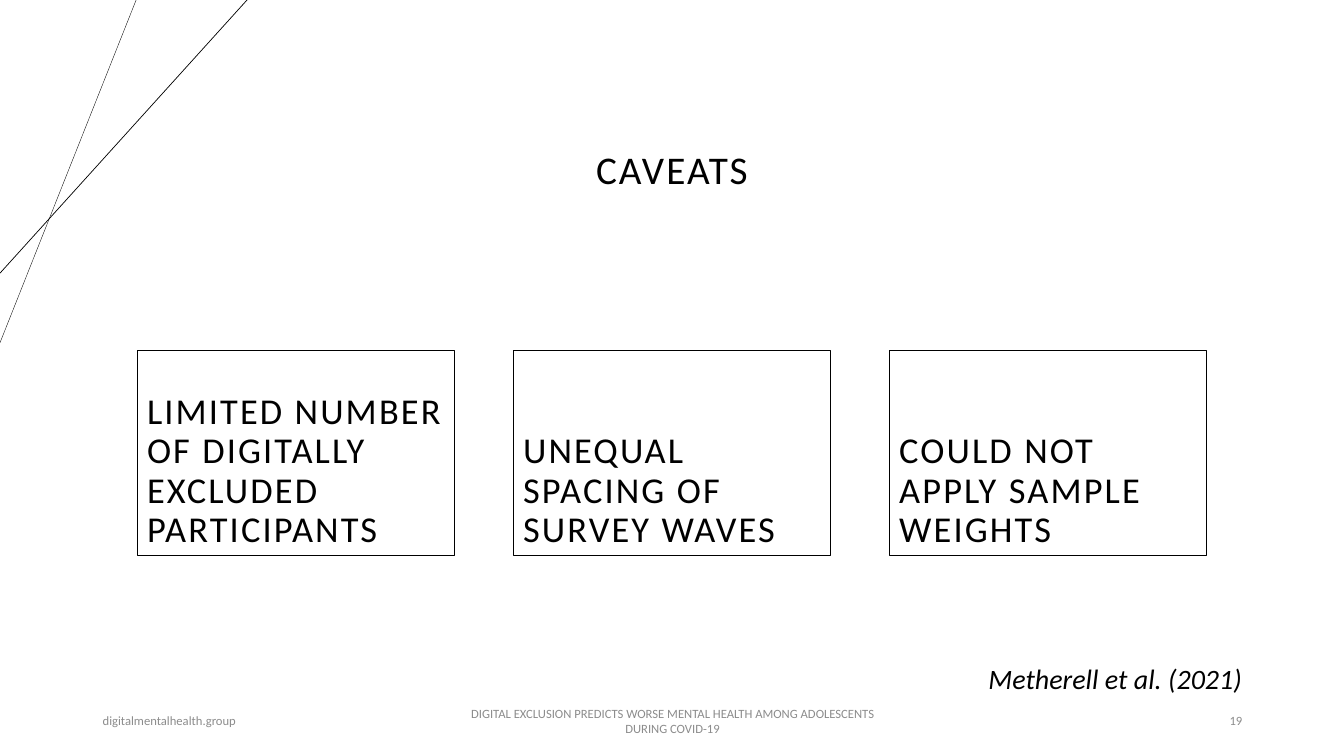
from dataclasses import dataclass

from lxml import etree
from pptx import Presentation
from pptx.dml.color import RGBColor
from pptx.enum.shapes import MSO_CONNECTOR, MSO_SHAPE
from pptx.enum.text import MSO_ANCHOR, MSO_AUTO_SIZE, PP_ALIGN
from pptx.oxml.ns import qn
from pptx.util import Inches, Pt

LEFT, CENTER, RIGHT = PP_ALIGN.LEFT, PP_ALIGN.CENTER, PP_ALIGN.RIGHT
TOP, MIDDLE, BOTTOM = MSO_ANCHOR.TOP, MSO_ANCHOR.MIDDLE, MSO_ANCHOR.BOTTOM
RECTANGLE = MSO_SHAPE.RECTANGLE
STRAIGHT = MSO_CONNECTOR.STRAIGHT
NO_AUTO_SIZE = MSO_AUTO_SIZE.NONE


@dataclass(frozen=True)
class Theme:
    font: str = "Calibri"
    ink: RGBColor = RGBColor(0x00, 0x00, 0x00)
    muted: RGBColor = RGBColor(0x8C, 0x8C, 0x8C)
    title_size: float = 28
    caveat_size: float = 26
    citation_size: float = 20
    footer_size: float = 9
    heading_tracking: float = 1.5
    heading_line_spacing: float = 0.9
    box_line: float = 0.75


@dataclass(frozen=True)
class TextStyle:
    size: float
    color: RGBColor
    align: PP_ALIGN
    anchor: MSO_ANCHOR
    italic: bool = False
    tracking: float = 0
    line_spacing: float = 1


@dataclass(frozen=True)
class Label:
    text: str
    left: float
    top: float
    width: float
    height: float
    style: TextStyle


@dataclass(frozen=True)
class CornerLine:
    """A line from the top edge to the left edge of the slide."""
    top_x: float
    left_y: float
    weight: float


THEME = Theme()


def heading_style(size: float, align: PP_ALIGN, anchor: MSO_ANCHOR) -> TextStyle:
    return TextStyle(size, THEME.ink, align, anchor, tracking=THEME.heading_tracking,
                     line_spacing=THEME.heading_line_spacing)


def footer_style(align: PP_ALIGN) -> TextStyle:
    return TextStyle(THEME.footer_size, THEME.muted, align, MIDDLE)


TITLE = Label("CAVEATS", 2.06, 0.98, 9.21, 1.45,
              heading_style(THEME.title_size, CENTER, MIDDLE))
CAVEATS = (
    "LIMITED NUMBER OF DIGITALLY EXCLUDED PARTICIPANTS",
    "UNEQUAL SPACING OF SURVEY WAVES",
    "COULD NOT APPLY SAMPLE WEIGHTS",
)
CAVEAT_LEFT, CAVEAT_TOP, CAVEAT_STEP = 1.36, 3.48, 3.73
CAVEAT_WIDTH, CAVEAT_HEIGHT = 3.15, 2.03
FOOTER_TOP, FOOTER_HEIGHT = 6.95, 0.4
LABELS = (
    Label("digitalmentalhealth.group", 0.92, FOOTER_TOP, 3, FOOTER_HEIGHT, footer_style(LEFT)),
    Label("DIGITAL EXCLUSION PREDICTS WORSE MENTAL HEALTH AMONG ADOLESCENTS DURING COVID-19",
          4.42, FOOTER_TOP, 4.5, FOOTER_HEIGHT, footer_style(CENTER)),
    Label("19", 9.42, FOOTER_TOP, 3, FOOTER_HEIGHT, footer_style(RIGHT)),
    Label("Metherell et al. (2021)", 9.56, 6.51, 2.86, 0.44,
          TextStyle(THEME.citation_size, THEME.ink, RIGHT, TOP, italic=True)),
)
CORNER_LINES = (CornerLine(1.35, 3.4, 0.25), CornerLine(2.45, 2.71, 0.5))


def write_text(shape, text: str, style: TextStyle) -> None:
    frame = shape.text_frame
    frame.text = text
    frame.word_wrap = True
    frame.auto_size = NO_AUTO_SIZE
    frame.vertical_anchor = style.anchor
    para = frame.paragraphs[0]
    para.alignment = style.align
    para.line_spacing = style.line_spacing
    span = para.runs[0]
    span.font.name = THEME.font
    span.font.size = Pt(style.size)
    span.font.italic = style.italic
    span.font.color.rgb = style.color
    if style.tracking:
        span._r.get_or_add_rPr().set("spc", str(round(style.tracking * 100)))


def place_title(slide, label: Label) -> None:
    title = slide.shapes.title
    title.left, title.top = Inches(label.left), Inches(label.top)
    title.width, title.height = Inches(label.width), Inches(label.height)
    write_text(title, label.text, label.style)


def add_label(slide, label: Label) -> None:
    box = slide.shapes.add_textbox(Inches(label.left), Inches(label.top),
                                   Inches(label.width), Inches(label.height))
    write_text(box, label.text, label.style)


def add_caveat(slide, index: int, text: str) -> None:
    box = slide.shapes.add_shape(
        RECTANGLE, Inches(CAVEAT_LEFT + index * CAVEAT_STEP), Inches(CAVEAT_TOP),
        Inches(CAVEAT_WIDTH), Inches(CAVEAT_HEIGHT))
    box.shadow.inherit = False
    box.fill.background()
    box.line.color.rgb = THEME.ink
    box.line.width = Pt(THEME.box_line)
    write_text(box, text, heading_style(THEME.caveat_size, LEFT, BOTTOM))


def add_corner_line(slide, corner: CornerLine) -> None:
    line = slide.shapes.add_connector(STRAIGHT, Inches(corner.top_x), Inches(0),
                                      Inches(0), Inches(corner.left_y))
    line.line.color.rgb = THEME.ink
    line.line.width = Pt(corner.weight)
    etree.SubElement(line._element.spPr, qn("a:effectLst"))


def main() -> None:
    deck = Presentation()
    deck.slide_width, deck.slide_height = Inches(13.33), Inches(7.5)
    title_only = deck.slide_layouts.get_by_name("Title Only")
    slide = deck.slides.add_slide(title_only)
    for corner in CORNER_LINES:
        add_corner_line(slide, corner)
    place_title(slide, TITLE)
    for index, caveat in enumerate(CAVEATS):
        add_caveat(slide, index, caveat)
    for label in LABELS:
        add_label(slide, label)
    deck.save("out.pptx")


if __name__ == "__main__":
    main()
